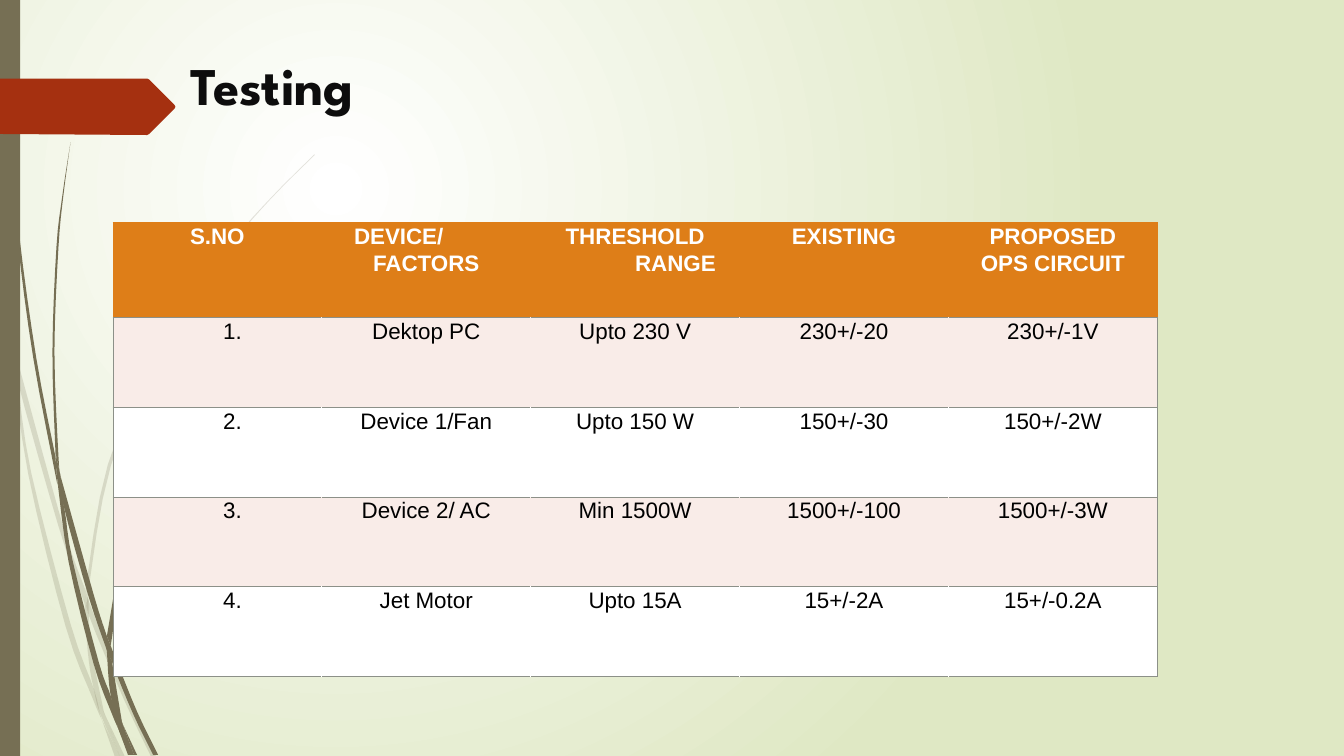
import pptx
import pptx.util
import pptx.dml.color
import pptx.enum.shapes
import pptx.enum.text
import pptx.oxml
import pptx.oxml.ns

Inches, Pt = pptx.util.Inches, pptx.util.Pt
RGB = pptx.dml.color.RGBColor
ALIGN = pptx.enum.text.PP_ALIGN
OLIVE = RGB(0x76, 0x6F, 0x54)
RUST = RGB(0xA5, 0x30, 0x10)
GREEN = RGB(0xDF, 0xE8, 0xC4)
ORANGE = RGB(0xDE, 0x7E, 0x18)
PINK = RGB(0xF9, 0xEC, 0xE8)
GREY = RGB(0x8C, 0x90, 0x88)
WHITE = RGB(0xFF, 0xFF, 0xFF)
BLACK = RGB(0, 0, 0)
INK = RGB(0x0D, 0x0D, 0x0D)

PALE = [
    ([(.11, 3.5), (.09, 3.22), (0, 2.82)], [(0, 2.99), (.1, 3.44)]),
    ([(.14, 3.45), (.17, 3.76), (.58, 5.22), (.84, 5.99)], [(.85, 5.86), (.62, 5.2), (.14, 3.45)]),
    ([(.88, 5.96), (.88, 6.1), (1.23, 6.94), (1.5, 7.51)], [(1.55, 7.51), (1.27, 6.92), (.92, 6.07)]),
    ([(1.05, 7.11), (1.19, 7.51)], [(1.24, 7.51)]),
    ([(.11, 3.5), (.28, 4.7), (.65, 6.21), (.92, 6.93), (1.01, 7.14)],
     [(.99, 7.07), (.93, 6.83), (.7, 6.19), (.31, 4.69), (.17, 3.76), (.11, 3.5)]),
    ([(.84, 5.99), (.87, 6.46), (.93, 6.83), (1.05, 7.11)], [(1.03, 7.06), (.91, 6.46), (.88, 6.1)]),
    ([(.88, 5.96), (.88, 5.84), (1.1, 4.62), (1.6, 3.49), (2.29, 2.45), (2.68, 1.98), (3.12, 1.54)],
     [(3.12, 1.53), (2.68, 1.97), (2.28, 2.44), (1.58, 3.48), (1.07, 4.61), (.85, 5.84)]),
    ([(1.01, 7.14), (1.14, 7.51)], [(1.19, 7.51)]),
    ([(.85, 5.86), (.84, 5.99)], [(.88, 6.1), (.88, 5.96)]),
    ([(.93, 6.83), (.99, 7.07), (1.19, 7.51)], [(1.05, 7.11), (.96, 6.92)]),
]
DARK = [
    ([(.03, 0), (.04, .48), (.07, 1.1), (.17, 2.33), (.33, 3.55), (.57, 4.81)],
     [(.55, 4.53), (.36, 3.55), (.19, 2.32), (.08, 1.09), (.05, .48), (.04, 0)]),
    ([(.6, 4.72), (.64, 5.05), (.88, 5.92), (1.06, 6.45)], [(1.06, 6.31), (.93, 5.9), (.6, 4.72)]),
    ([(1.1, 6.41), (1.11, 6.56), (1.32, 7.08), (1.52, 7.49)], [(1.57, 7.49), (1.36, 7.06), (1.13, 6.49)]),
    ([(.57, 4.77), (.68, 5.57), (.93, 6.59), (1.11, 7.08), (1.17, 7.22)],
     [(1.16, 7.17), (1.1, 6.91), (.98, 6.57), (.72, 5.56), (.64, 5.05), (.57, 4.77)]),
    ([(.6, 4.72), (.58, 4.53), (.54, 3.49), (.58, 2.45), (.63, 1.93), (.7, 1.41)],
     [(.7, 1.41), (.62, 1.93), (.56, 2.45), (.52, 3.49), (.55, 4.49)]),
    ([(1.22, 7.19), (1.33, 7.49)], [(1.36, 7.49)]),
    ([(.55, 4.49), (.57, 4.77), (.64, 5.05)], [(.6, 4.72)]),
    ([(1.1, 6.41), (1.11, 6.33), (1.25, 5.52), (1.58, 4.76), (2.05, 4.06), (2.31, 3.74), (2.61, 3.44)],
     [(2.6, 3.44), (2.31, 3.73), (2.04, 4.05), (1.56, 4.74), (1.22, 5.51), (1.06, 6.31)]),
    ([(1.17, 7.22), (1.27, 7.49)], [(1.31, 7.49)]),
    ([(1.06, 6.45), (1.1, 6.91), (1.22, 7.19)], [(1.21, 7.16), (1.11, 6.56)]),
    ([(1.06, 6.31), (1.06, 6.45), (1.11, 6.56)], [(1.1, 6.41)]),
    ([(1.1, 6.91), (1.17, 7.22), (1.3, 7.49)], [(1.33, 7.49), (1.22, 7.19)]),
]
HEADS = [
    [("S.NO", ALIGN.CENTER, 0)],
    [("DEVICE/", ALIGN.LEFT, .25), ("FACTORS", ALIGN.CENTER, 0)],
    [("THRESHOLD", ALIGN.CENTER, 0), ("RANGE", ALIGN.CENTER, .8)],
    [("EXISTING", ALIGN.CENTER, 0)],
    [("PROPOSED", ALIGN.CENTER, 0), ("OPS CIRCUIT", ALIGN.CENTER, 0)],
]
ROWS = [
    ["1.", "Dektop PC", "Upto 230 V", "230+/-20", "230+/-1V"],
    ["2.", "Device 1/Fan", "Upto 150 W", "150+/-30", "150+/-2W"],
    ["3.", "Device 2/ AC", "Min 1500W", "1500+/-100", "1500+/-3W"],
    ["4.", "Jet Motor", "Upto 15A", "15+/-2A", "15+/-0.2A"],
]


def put(item, **vals):
    """Set each named value on the item."""
    for name, val in vals.items():
        setattr(item, name, val)


def child(node, tag, **vals):
    """Add a drawing element with its attributes."""
    part = pptx.oxml.parse_xml(f"<a:{tag} {pptx.oxml.ns.nsdecls('a')}/>")
    for name, val in vals.items():
        part.set(name, str(val))
    node.append(part)
    return part


def paint(shape, tone):
    """Give a shape a plain fill with no line or shadow."""
    shape.shadow.inherit = False
    shape.fill.solid()
    shape.fill.fore_color.rgb = tone
    shape.line.fill.background()


def smooth(edge, steps=4):
    """Return points of a rounded curve through the edge."""
    ends = [edge[0], *edge, edge[-1]]
    curve = []
    for a, b, c, d in zip(ends, ends[1:], ends[2:], ends[3:]):
        for t in (n / steps for n in range(steps)):
            curve.append(tuple(
                q + t / 2 * (r - p + t * (2 * p - 5 * q + 4 * r - s + t * (3 * q - p - 3 * r + s)))
                for p, q, r, s in zip(a, b, c, d)))
    return curve + [edge[-1]]


def outline(shapes, points, tone):
    """Draw a closed outline through points given in inches."""
    spots = [(Inches(x), Inches(y)) for x, y in points]
    pen = shapes.build_freeform(*spots[0])
    pen.add_line_segments(spots[1:])
    shape = pen.convert_to_shape()
    paint(shape, tone)
    return shape


def stems(slide, blades, alpha):
    """Draw one group of grass blades."""
    group = slide.shapes.add_group_shape()
    for left, right in blades:
        blade = outline(group.shapes, smooth(left) + smooth(right), OLIVE)
        if alpha < 100:
            for tint in blade.element.xpath(".//a:solidFill/a:srgbClr"):
                child(tint, "alpha", val=alpha * 1000)


def backdrop(slide, high):
    """Draw the glow, the grass, the side bar and the arrow tab."""
    fill = slide.background.fill
    fill.gradient()
    for stop, tone, pos in zip(fill.gradient_stops, (WHITE, GREEN), (0, 1)):
        stop.color.rgb = tone
        stop.position = pos
    line = slide.element.xpath(".//p:bg//a:lin")[0]
    grad = line.getparent()
    grad.remove(line)
    child(child(grad, "path", path="circle"), "fillToRect", l=50000, t=50000, r=100000, b=100000)
    stems(slide, PALE, 20)
    stems(slide, DARK, 100)
    bar = slide.shapes.add_shape(pptx.enum.shapes.MSO_SHAPE.RECTANGLE, 0, 0, Inches(.2), Inches(high))
    paint(bar, OLIVE)
    outline(slide.shapes, [(0, .78), (1.46, .78), (1.48, .79), (1.73, 1.04), (1.74, 1.06),
                           (1.73, 1.08), (1.48, 1.33), (1.46, 1.34), (0, 1.33)], RUST)


def title(slide, left, top, wide, high):
    """Write the slide heading in its box."""
    frame = slide.shapes.add_textbox(*map(Inches, (left, top, wide, high))).text_frame
    put(frame, word_wrap=True, margin_top=Inches(.36))
    run = frame.paragraphs[0].add_run()
    run.text = "Testing"
    put(run.font, name="League Spartan", size=Pt(37.8), bold=True)
    run.font.color.rgb = INK


def border(cell, tone):
    """Rule the top and bottom, and both sides, of a cell."""
    props = cell._tc.get_or_add_tcPr()
    for spot, side in enumerate(("lnL", "lnR", "lnT", "lnB")):
        rule = pptx.oxml.parse_xml(
            f"<a:{side} {pptx.oxml.ns.nsdecls('a')} w='6350'><a:solidFill>"
            f"<a:srgbClr val='{tone}'/></a:solidFill></a:{side}>")
        props.insert(spot, rule)


def write(cell, lines, back, tone, bold, edge):
    """Fill a cell with its lines of text."""
    put(cell, margin_left=Inches(.07), margin_right=Inches(.07), margin_top=0, margin_bottom=0)
    cell.fill.solid()
    cell.fill.fore_color.rgb = back
    border(cell, edge)
    frame = cell.text_frame
    for n, (text, align, indent) in enumerate(lines):
        para = frame.add_paragraph() if n else frame.paragraphs[0]
        put(para, alignment=align, line_spacing=1.07)
        if indent:
            para._p.get_or_add_pPr().set("marL", str(Inches(indent)))
        run = para.add_run()
        run.text = text
        put(run.font, name="Arial", size=Pt(16), bold=bold)
        run.font.color.rgb = tone


def results(slide, left, top, wide, high):
    """Place the table of test results."""
    box = map(Inches, (left, top, wide, high))
    table = slide.shapes.add_table(len(ROWS) + 1, len(HEADS), *box).table
    table._tbl.xpath("./a:tblPr/a:tableStyleId")[0].text = "{2D5ABB26-0587-4C30-8999-92F81FD0307C}"
    for n, row in enumerate(table.rows):
        row.height = Inches(.89 if n else .94)
    for col, lines in enumerate(HEADS):
        write(table.cell(0, col), lines, ORANGE, WHITE, True, ORANGE)
    for n, texts in enumerate(ROWS, 1):
        back = PINK if n % 2 else WHITE
        for col, text in enumerate(texts):
            cell = table.cell(n, col)
            write(cell, [(text, ALIGN.CENTER, 0 if col else .3)], back, BLACK, False, GREY)
            inner = [side for side, hide in (("lnL", col > 0), ("lnR", col < len(texts) - 1)) if hide]
            for side in inner:
                cell._tc.tcPr.xpath(f"./a:{side}//a:srgbClr")[0].set("val", str(back))


def main():
    """Build and save the slide."""
    deck = pptx.Presentation()
    put(deck, slide_width=Inches(13.33), slide_height=Inches(7.5))
    slide = deck.slides.add_slide(deck.slide_layouts[6])
    backdrop(slide, 7.5)
    title(slide, 1.79, .16, 9.75, 1.4)
    results(slide, 1.12, 2.21, 10.36, 4.5)
    deck.save("out.pptx")


if __name__ == "__main__":
    main()
